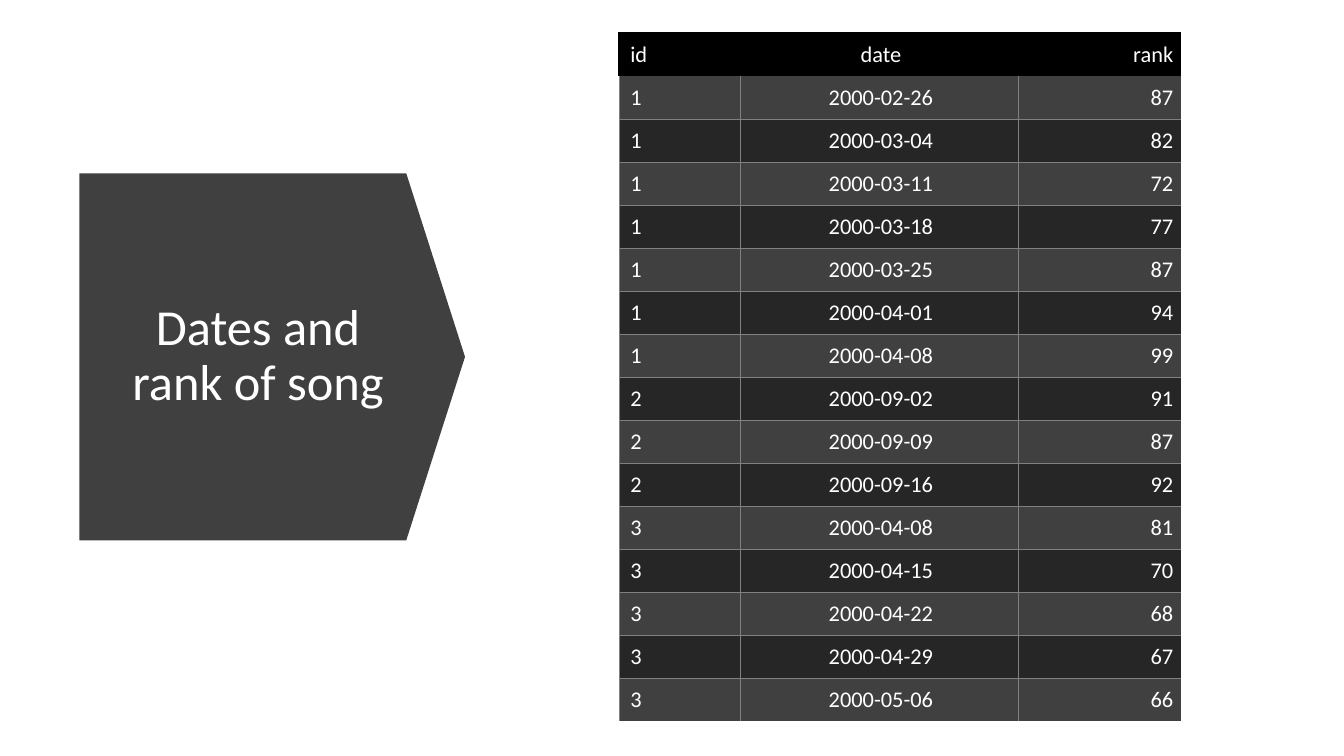
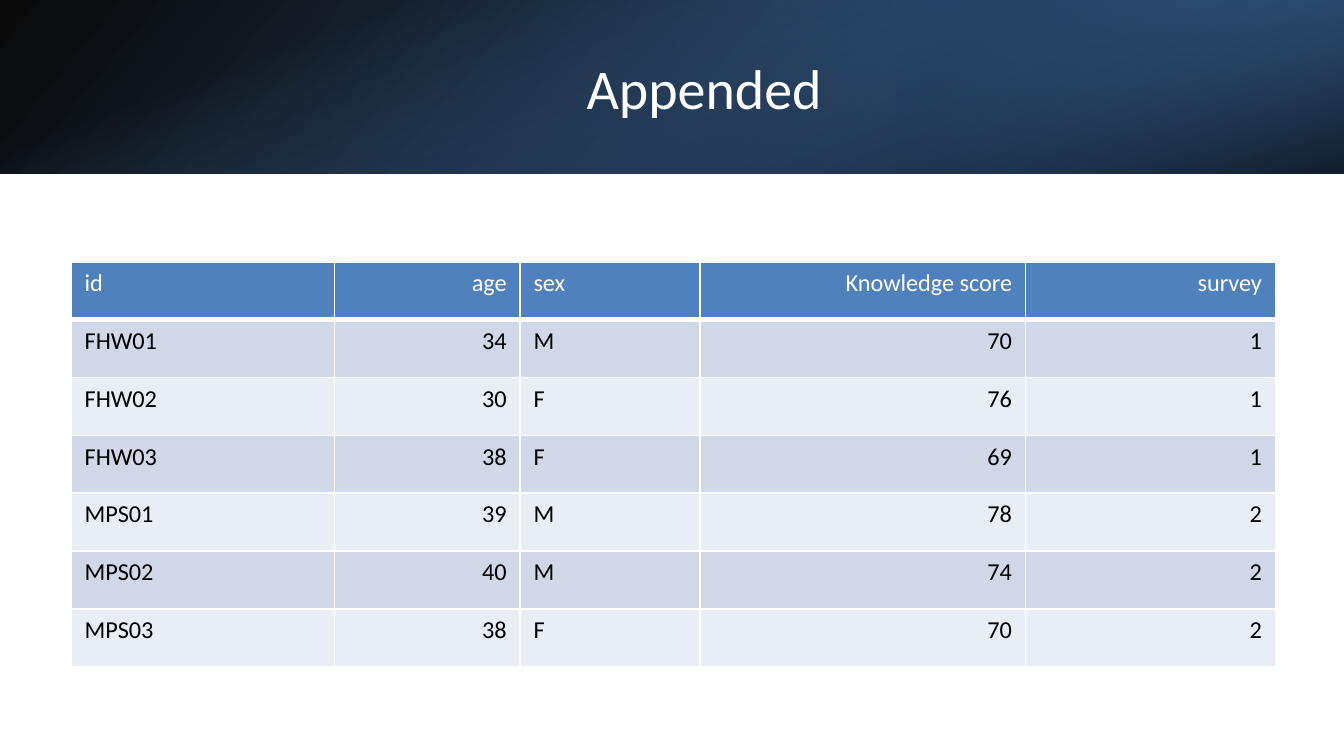
"""Build two slides: song ranks beside an arrow title, and an appended survey under a gradient band."""
import dataclasses
import typing

import pptx
import pptx.dml.color
import pptx.enum.shapes
import pptx.enum.text
import pptx.oxml
import pptx.oxml.ns
import pptx.util

COLUMNS, ROWS = 100, 56.25
UNIT = pptx.util.Inches(10) / COLUMNS
FONT = "Calibri"
WHITE, BLACK, GREY = "FFFFFF", "000000", "808080"
CHARCOAL, COAL = "404040", "262626"
BLUE, PALE, PALER = "4F81BD", "D0D8E8", "E9EDF4"
UNSTYLED = "{2D5ABB26-0587-4C30-8999-92F81FD0307C}"
ALIGN = {
    "l": pptx.enum.text.PP_ALIGN.LEFT,
    "c": pptx.enum.text.PP_ALIGN.CENTER,
    "r": pptx.enum.text.PP_ALIGN.RIGHT,
}
MIDDLE = pptx.enum.text.MSO_ANCHOR.MIDDLE
TOP = pptx.enum.text.MSO_ANCHOR.TOP
Edges = dict[str, tuple[str, float]]


class Box(typing.NamedTuple):
    left: float
    top: float
    width: float
    height: float


class Stop(typing.NamedTuple):
    position: int
    color: str
    opacity: int


@dataclasses.dataclass(frozen=True)
class Panel:
    box: Box
    stops: tuple[Stop, Stop]
    angle: int
    rotation: int = 0
    flipped: bool = False


@dataclasses.dataclass(frozen=True)
class Grid:
    box: Box
    widths: tuple[float, ...]
    row_height: float
    aligns: str
    size: float
    insets: tuple[float, float, float, float]
    header_fill: str
    bands: tuple[str, str]
    body_color: str
    header_anchor: typing.Any
    edges: typing.Callable[[int, int, int], Edges]


def span(units: float) -> int:
    return round(units * UNIT)


def place(box: Box) -> list[int]:
    return [span(length) for length in box]


def rgb(color: str) -> pptx.dml.color.RGBColor:
    return pptx.dml.color.RGBColor.from_string(color)


def write(frame, text: str, *, size: float, color: str = WHITE, align: str = "c",
          spacing: float | None = None) -> None:
    paragraph = frame.paragraphs[0]
    paragraph.alignment = ALIGN[align]
    paragraph.line_spacing = spacing
    run = paragraph.add_run()
    run.text = text
    run.font.name = FONT
    run.font.size = pptx.util.Pt(size)
    run.font.color.rgb = rgb(color)


def add_title(slide, box: Box, text: str, size: float, spacing: float | None = None) -> None:
    frame = slide.shapes.add_textbox(*place(box)).text_frame
    frame.word_wrap = True
    frame.vertical_anchor = MIDDLE
    write(frame, text, size=size, spacing=spacing)


def add_plain_shape(slide, kind, box: Box, rotation: int):
    shape = slide.shapes.add_shape(kind, *place(box))
    shape.shadow.inherit = False
    shape.line.fill.background()
    shape.rotation = rotation
    return shape


def add_panel(slide, panel: Panel) -> None:
    shape = add_plain_shape(slide, pptx.enum.shapes.MSO_SHAPE.RECTANGLE, panel.box, panel.rotation)
    shape.fill.background()
    properties = shape._element.spPr
    if panel.flipped:
        properties.find(pptx.oxml.ns.qn("a:xfrm")).set("flipH", "1")
    stops = "".join(
        f'<a:gs pos="{stop.position * 1000}"><a:srgbClr val="{stop.color}">'
        f'<a:alpha val="{stop.opacity * 1000}"/></a:srgbClr></a:gs>'
        for stop in panel.stops
    )
    gradient = pptx.oxml.parse_xml(
        f'<a:gradFill {pptx.oxml.ns.nsdecls("a")} rotWithShape="1"><a:gsLst>{stops}</a:gsLst>'
        f'<a:lin ang="{panel.angle * 60000}" scaled="0"/></a:gradFill>'
    )
    properties.replace(properties.find(pptx.oxml.ns.qn("a:noFill")), gradient)


def draw_edges(cell, edges: Edges) -> None:
    properties = cell._tc.get_or_add_tcPr()
    for side in "LRTB":
        if side in edges:
            color, width = edges[side]
            properties.append(pptx.oxml.parse_xml(
                f'<a:ln{side} {pptx.oxml.ns.nsdecls("a")} w="{pptx.util.Pt(width)}">'
                f'<a:solidFill><a:srgbClr val="{color}"/></a:solidFill></a:ln{side}>'
            ))


def add_grid(slide, grid: Grid, records: list[tuple[str, ...]]) -> None:
    holder = slide.shapes.add_table(len(records), len(grid.widths), *place(grid.box))
    table = holder.table
    table._tbl.tblPr.find(pptx.oxml.ns.qn("a:tableStyleId")).text = UNSTYLED
    for column, width in zip(table.columns, grid.widths):
        column.width = span(width)
    for row, record in enumerate(records):
        table.rows[row].height = span(grid.row_height)
        header = row == 0
        for column, text in enumerate(record):
            cell = table.cell(row, column)
            draw_edges(cell, grid.edges(row, column, len(records) - 1))
            cell.fill.solid()
            cell.fill.fore_color.rgb = rgb(grid.header_fill if header else grid.bands[(row - 1) % 2])
            cell.margin_left, cell.margin_top, cell.margin_right, cell.margin_bottom = map(span, grid.insets)
            cell.vertical_anchor = grid.header_anchor if header else TOP
            write(cell.text_frame, text, size=grid.size, align=grid.aligns[column],
                  color=WHITE if header else grid.body_color)
    holder.height = span(grid.box.height)


def rank_edges(row: int, column: int, last: int) -> Edges:
    if row == 0:
        frame = (BLACK, 1.5)
        return {"T": frame, "L": frame} if column == 0 else {"T": frame}
    rule = (GREY, 0.5)
    edges = {"L": rule}
    if column < 2:
        edges["R"] = rule
    if row % 2 and row < last:
        edges["B"] = rule
    elif row % 2 == 0:
        edges["T"] = rule
    return edges


def survey_edges(row: int, column: int, last: int) -> Edges:
    return {side: (WHITE, 3 if (row, side) == (0, "B") else 1) for side in "LRTB"}


RANK_GRID = Grid(
    box=Box(46.1, 2.45, 41.8, 51.3), widths=(9, 20.7, 12.1), row_height=2.9, aligns="lcr",
    size=12, insets=(0.8, 0.6, 0.6, 0.6), header_fill=BLACK, bands=(CHARCOAL, COAL),
    body_color=WHITE, header_anchor=MIDDLE, edges=rank_edges,
)
SURVEY_GRID = Grid(
    box=Box(5.3, 19.5, 89.6, 30.1), widths=(19.6, 13.8, 13.4, 24.2, 18.6), row_height=4.3,
    aligns="lrlrr", size=13, insets=(1, 0.5, 1, 0.5), header_fill=BLUE, bands=(PALE, PALER),
    body_color=BLACK, header_anchor=TOP, edges=survey_edges,
)
BAND_HEIGHT = 12.9
BAND_PANELS = (
    Panel(Box(0, 0, COLUMNS, BAND_HEIGHT), (Stop(0, BLACK, 96), Stop(100, "376092", 100)),
          140, flipped=True),
    Panel(Box(COLUMNS * 2 / 3, 0, COLUMNS / 3, BAND_HEIGHT), (Stop(19, "254061", 68), Stop(100, BLUE, 79)),
          320, rotation=180, flipped=True),
    Panel(Box((COLUMNS - BAND_HEIGHT) / 2, (BAND_HEIGHT - COLUMNS) / 2, BAND_HEIGHT, COLUMNS),
          (Stop(23, BLUE, 0), Stop(99, BLACK, 74)), 340, rotation=90),
)
RANKS = [
    ("id", "date", "rank"),
    ("1", "2000-02-26", "87"),
    ("1", "2000-03-04", "82"),
    ("1", "2000-03-11", "72"),
    ("1", "2000-03-18", "77"),
    ("1", "2000-03-25", "87"),
    ("1", "2000-04-01", "94"),
    ("1", "2000-04-08", "99"),
    ("2", "2000-09-02", "91"),
    ("2", "2000-09-09", "87"),
    ("2", "2000-09-16", "92"),
    ("3", "2000-04-08", "81"),
    ("3", "2000-04-15", "70"),
    ("3", "2000-04-22", "68"),
    ("3", "2000-04-29", "67"),
    ("3", "2000-05-06", "66"),
]
SURVEY = [
    ("id", "age", "sex", "Knowledge score", "survey"),
    ("FHW01", "34", "M", "70", "1"),
    ("FHW02", "30", "F", "76", "1"),
    ("FHW03", "38", "F", "69", "1"),
    ("MPS01", "39", "M", "78", "2"),
    ("MPS02", "40", "M", "74", "2"),
    ("MPS03", "38", "F", "70", "2"),
]


def build_ranks(slide) -> None:
    pointer = add_plain_shape(slide, pptx.enum.shapes.MSO_SHAPE.DOWN_ARROW, Box(6.6, 12.2, 27.3, 28.7), 270)
    pointer.adjustments[0], pointer.adjustments[1] = 1, 0.16
    pointer.fill.solid()
    pointer.fill.fore_color.rgb = rgb(CHARCOAL)
    add_title(slide, Box(8.4, 16.1, 21.6, 20.9), "Dates and rank of song", 27, spacing=0.9)
    add_grid(slide, RANK_GRID, RANKS)


def build_survey(slide) -> None:
    for panel in BAND_PANELS:
        add_panel(slide, panel)
    add_title(slide, Box(11.2, 2.9, 82.4, 7.2), "Appended", 30)
    add_grid(slide, SURVEY_GRID, SURVEY)


def main() -> None:
    deck = pptx.Presentation()
    deck.slide_width, deck.slide_height = span(COLUMNS), span(ROWS)
    for build in (build_ranks, build_survey):
        slide = deck.slides.add_slide(deck.slide_layouts[6])
        slide.background.fill.solid()
        slide.background.fill.fore_color.rgb = rgb(WHITE)
        build(slide)
    deck.save("out.pptx")


if __name__ == "__main__":
    main()
